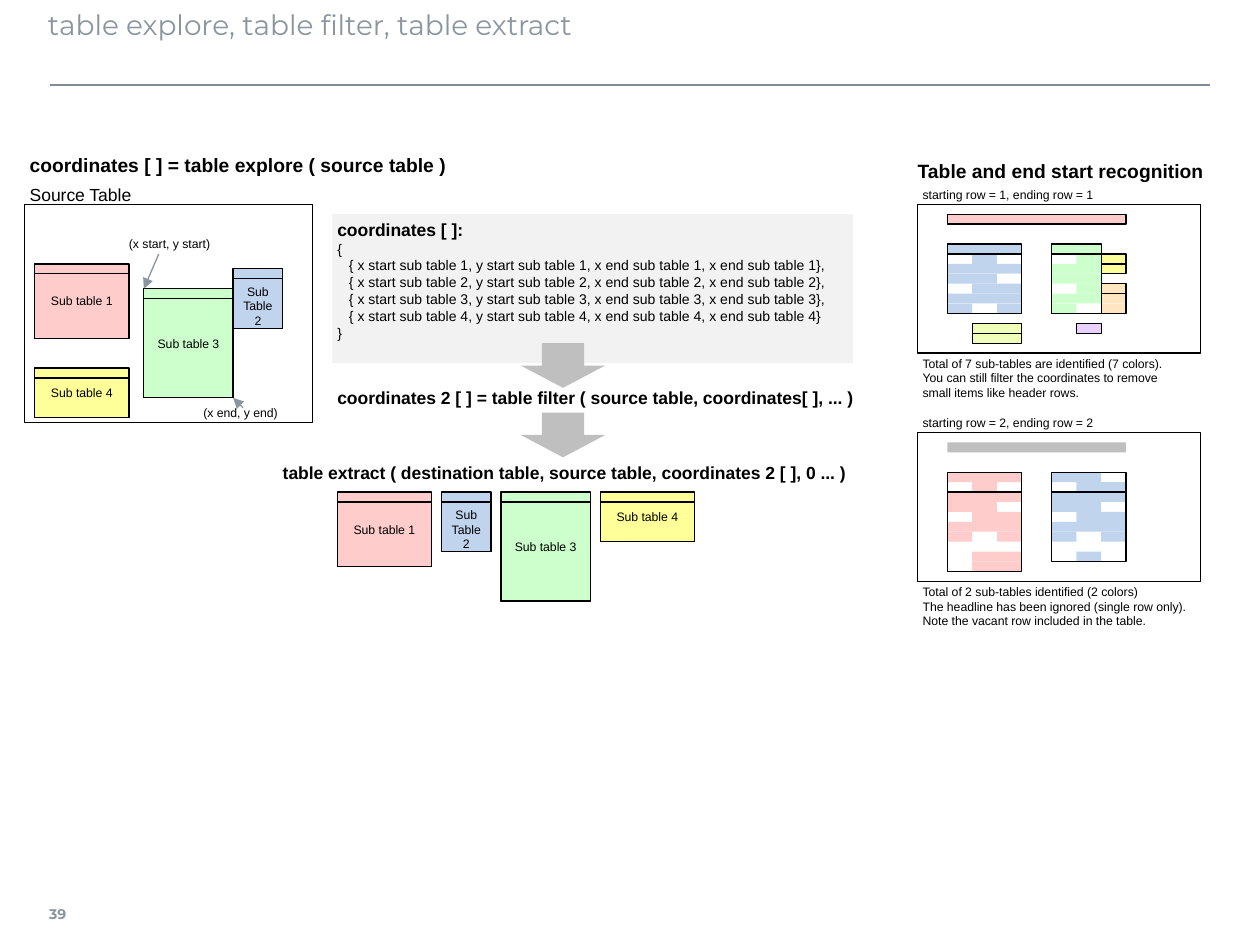
from itertools import groupby
from lxml.etree import SubElement
from pptx import Presentation
from pptx.dml.color import RGBColor
from pptx.enum.shapes import MSO_CONNECTOR, MSO_SHAPE
from pptx.enum.text import MSO_ANCHOR, PP_ALIGN
from pptx.oxml.ns import qn
from pptx.util import Inches, Mm, Pt

THEME = {
    "pink": "FFCCCC", "blue": "C1D4EE", "green": "CCFFCC", "yellow": "FFFF99",
    "orange": "FFE6C1", "lime": "F0FFB8", "violet": "E8D1FF",
    "panel": "F2F2F2", "arrow": "BFBFBF", "black": "000000",
    "accent": "8996A0", "rule": "808D97",
    "body font": "Arial", "title font": "Montserrat",
    "title": 16, "heading": 11, "call": 10, "code": 8, "label": 7,
}
# The drawing grid has cells of 1 mm; its rows start slightly below the slide's top.
GRID_TOP = 0.2
CELL_WIDTH, CELL_HEIGHT = 5, 2

presentation = Presentation()
presentation.slide_width, presentation.slide_height = Inches(10), Inches(7.5)
slide = presentation.slides.add_slide(presentation.slide_layouts[5])
shapes = slide.shapes


def add_box(x, y, width, height, fill=None, line=None, text="", size="label",
            bold=False, align=PP_ALIGN.LEFT, kind=MSO_SHAPE.RECTANGLE):
    """Add a shape on the grid, or a text box when it has neither fill nor line."""
    place = Mm(x), Mm(y + GRID_TOP), Mm(width), Mm(height)
    if fill or line:
        shape = shapes.add_shape(kind, *place)
        shape.shadow.inherit = False
        if fill:
            shape.fill.solid()
            shape.fill.fore_color.rgb = RGBColor.from_string(THEME[fill])
        else:
            shape.fill.background()
        if line:
            shape.line.color.rgb = RGBColor.from_string(THEME[line])
            shape.line.width = Pt(0.75)
        else:
            shape.line.fill.background()
    else:
        shape = shapes.add_textbox(*place)
    if text:
        frame = shape.text_frame
        frame.word_wrap = True
        frame.vertical_anchor = MSO_ANCHOR.MIDDLE
        frame.margin_left = frame.margin_right = Mm(1)
        frame.margin_top = frame.margin_bottom = 0
        frame.text = text
        for paragraph in frame.paragraphs:
            paragraph.alignment = align
            font = paragraph.font
            font.name, font.size, font.bold = THEME["body font"], Pt(THEME[size]), bold
            font.color.rgb = RGBColor.from_string(THEME["black"])
    return shape


def add_line(x1, y1, x2, y2, color="black", width=0.75, arrowhead=False):
    connector = shapes.add_connector(MSO_CONNECTOR.STRAIGHT, Mm(x1), Mm(y1 + GRID_TOP),
                                     Mm(x2), Mm(y2 + GRID_TOP))
    connector.line.color.rgb = RGBColor.from_string(THEME[color])
    connector.line.width = Pt(width)
    if arrowhead:
        SubElement(connector.line._get_or_add_ln(), qn("a:tailEnd"), type="triangle")
    SubElement(connector._element.spPr, qn("a:effectLst"))


# Title, rule and page number
title = shapes.title
title.left, title.top, title.width, title.height = Inches(0.38), Inches(0.01), Inches(9.21), Inches(0.63)
title.text_frame.text = "table explore, table filter, table extract"
title.text_frame.vertical_anchor = MSO_ANCHOR.TOP
add_line(10, 17, 244, 17, "rule", 1)
page_number = shapes.add_textbox(Inches(0.39), Inches(7.06), Inches(0.35), Inches(0.39))
page_number.text_frame.text = "39"
page_number.text_frame.word_wrap = False
page_number.text_frame.vertical_anchor = MSO_ANCHOR.MIDDLE
for shape, size, bold in ((title, "title", False), (page_number, "code", True)):
    shape.text_frame.margin_left = 0
    paragraph = shape.text_frame.paragraphs[0]
    paragraph.alignment = PP_ALIGN.LEFT
    font = paragraph.runs[0].font
    font.name, font.size, font.bold = THEME["title font"], Pt(THEME[size]), bold
    font.color.rgb = RGBColor.from_string(THEME["accent"])

# Sub tables, in the source table and again side by side once extracted
add_box(5, 41, 58, 44, line="black")
extract_x = 68
for label, color, source_x, source_y, width, height in (
    ("Sub table 1", "pink", 7, 53, 19, 15),
    ("Sub\nTable\n2", "blue", 47, 54, 10, 12),
    ("Sub table 3", "green", 29, 58, 18, 22),
    ("Sub table 4", "yellow", 7, 74, 19, 10),
):
    for x, y in ((source_x, source_y), (extract_x, 99)):
        sub_table = add_box(x, y, width, height, color, "black", label, align=PP_ALIGN.CENTER)
        if "\n" in label:
            sub_table.text_frame.margin_top = Mm(3)
        add_box(x, y + CELL_HEIGHT, width, height - CELL_HEIGHT, line="black")
    extract_x += width + 2
add_line(32, 51, 29, 58, "accent", arrowhead=True)
add_line(49, 82, 47, 80, "accent", arrowhead=True)

# Coordinates listing
rows = [f"   {{ x start sub table {n}, y start sub table {n}, x end sub table {n}, x end sub table {n}}}"
        for n in range(1, 5)]
listing = add_box(67, 43, 105, 30, "panel", size="code",
                  text="\n".join(["coordinates [ ]:", "{", ",\n".join(rows), "}"]))
listing.text_frame.margin_top = Mm(1)
listing.text_frame.vertical_anchor = MSO_ANCHOR.TOP
heading = listing.text_frame.paragraphs[0].font
heading.size, heading.bold = Pt(THEME["call"]), True
for y in (69, 83):
    add_box(105, y, 17, 9, "arrow", kind=MSO_SHAPE.DOWN_ARROW)

# Recognition examples: frame and headline
for y, color, line in ((41, "pink", "black"), (87, "arrow", None)):
    add_box(185, y, 57, 30, line="black")
    add_box(191, y + 2, 36, CELL_HEIGHT, color, line)

# Recognised tables: x, y, colour, header rows, rows with # for a filled cell
for x, y, color, header_rows, pattern in (
    (191, 49, "blue", 1, "### .#. ### ##. .## ### #.#"),
    (212, 49, "green", 1, "## .# ## ## .# ## #."),
    (222, 51, "yellow", 1, "# #"),
    (222, 57, "orange", 1, "# # #"),
    (196, 65, "lime", 1, "## ##"),
    (217, 65, "violet", 0, "#"),
    (191, 95, "pink", 2, "### .#. ### ##. .## ### #.# ... .## .##"),
    (212, 95, "blue", 2, "##. .## ### ##. .## ### #.# ... .#."),
):
    rows = pattern.split()
    for row_index, row in enumerate(rows):
        cell_x = x
        for mark, cells in groupby(row):
            run_width = CELL_WIDTH * len(list(cells))
            if mark == "#":
                add_box(cell_x, y + CELL_HEIGHT * row_index, run_width, CELL_HEIGHT, color)
            cell_x += run_width
    table_width = CELL_WIDTH * len(rows[0])
    add_box(x, y, table_width, CELL_HEIGHT * len(rows), line="black")
    if header_rows:
        header_y = y + CELL_HEIGHT * header_rows
        add_line(x, header_y, x + table_width, header_y)

# Function calls and captions: x, y, width, height, size, bold, text
for x, y, width, height, size, bold, text in (
    (5, 30.5, 95, 5, "heading", True, "coordinates [ ] = table explore ( source table )"),
    (5, 37, 30, 4, "call", False, "Source Table"),
    (67, 78, 112, 4, "call", True,
     "coordinates 2 [ ] = table filter ( source table, coordinates[ ], ... )"),
    (56, 93, 122, 4, "call", True,
     "table extract ( destination table, source table, coordinates 2 [ ], 0 ... )"),
    (184, 31.7, 65, 5, "heading", True, "Table and end start recognition"),
    (25, 47, 23, 4, "label", False, "(x start, y start)"),
    (40, 81, 20, 4, "label", False, "(x end, y end)"),
    (185, 37, 57, 4, "label", False, "starting row = 1, ending row = 1"),
    (185, 83, 57, 4, "label", False, "starting row = 2, ending row = 2"),
    (185, 71.5, 57, 9, "label", False, "Total of 7 sub-tables are identified (7 colors).\n"
     "You can still filter the coordinates to remove\nsmall items like header rows."),
    (185, 117.5, 57, 9, "label", False, "Total of 2 sub-tables identified (2 colors)\n"
     "The headline has been ignored (single row only).\nNote the vacant row included in the table."),
):
    add_box(x, y, width, height, text=text, size=size, bold=bold)

presentation.save("out.pptx")
